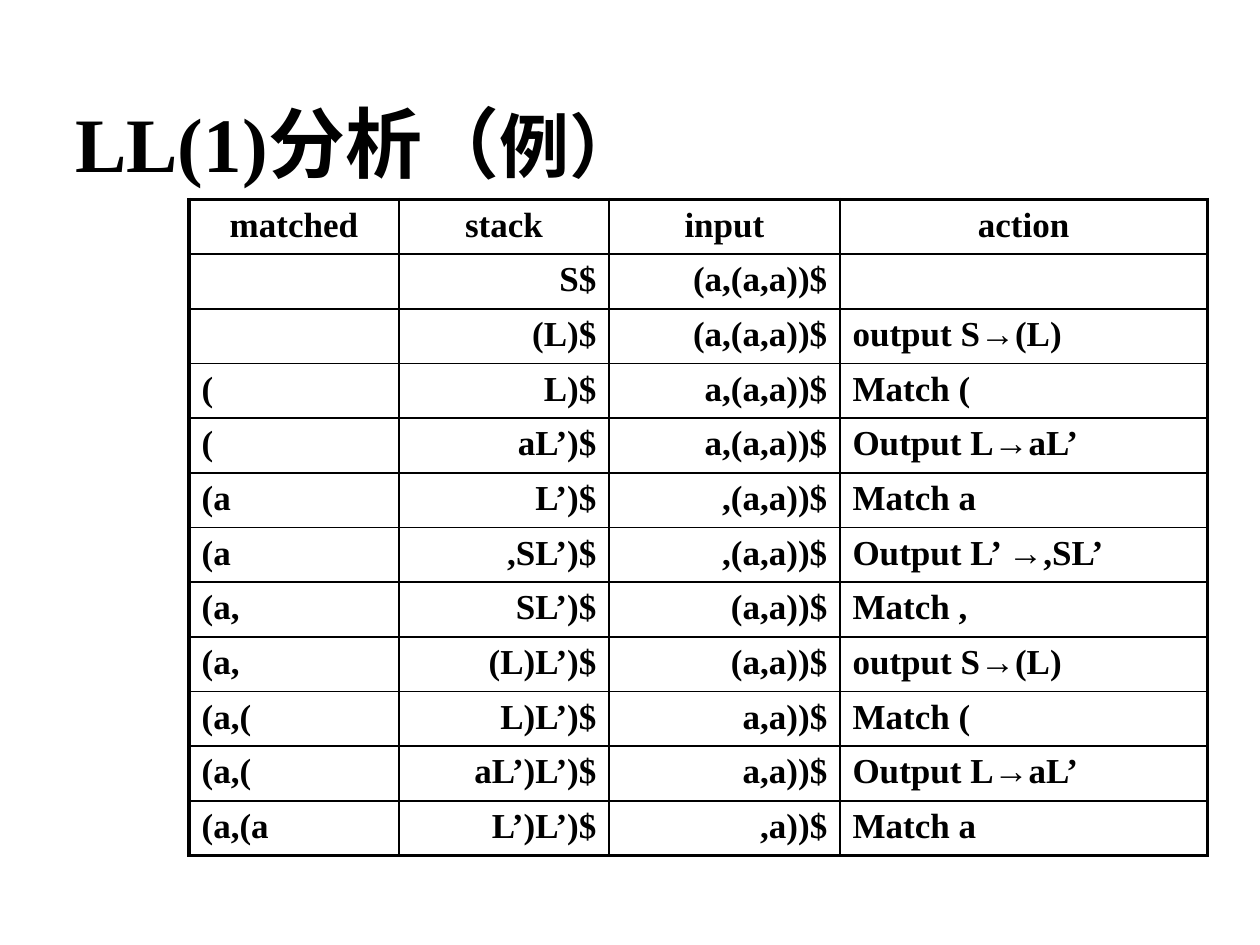
from lxml import etree
from pptx import Presentation
from pptx.dml.color import RGBColor
from pptx.enum.text import MSO_ANCHOR as Anchor, PP_ALIGN as Align
from pptx.oxml.ns import qn
from pptx.util import Pt

INK = "000000"
THIN, THICK = 1, 2.25

HEAD = ["matched", "stack", "input", "action"]
STEPS = [
    ["", "S$", "(a,(a,a))$", ""],
    ["", "(L)$", "(a,(a,a))$", "output S→(L)"],
    ["(", "L)$", "a,(a,a))$", "Match ("],
    ["(", "aL’)$", "a,(a,a))$", "Output L→aL’"],
    ["(a", "L’)$", ",(a,a))$", "Match a"],
    ["(a", ",SL’)$", ",(a,a))$", "Output L’ →,SL’"],
    ["(a,", "SL’)$", "(a,a))$", "Match ,"],
    ["(a,", "(L)L’)$", "(a,a))$", "output S→(L)"],
    ["(a,(", "L)L’)$", "a,a))$", "Match ("],
    ["(a,(", "aL’)L’)$", "a,a))$", "Output L→aL’"],
    ["(a,(a", "L’)L’)$", ",a))$", "Match a"],
]
ALIGNS = [Align.LEFT, Align.RIGHT, Align.RIGHT, Align.LEFT]


def color(code):
    return RGBColor.from_string(code)


def write(para, text, size=20, face="Times New Roman", bold=True, ink=INK, align=Align.LEFT):
    para.alignment = align
    run = para.add_run()
    run.text = text
    font = run.font
    font.size, font.name, font.bold = Pt(size), face, bold
    font.color.rgb = color(ink)


def border(cell, widths, ink=INK):
    """Draw the left, right, top and bottom edges, in that order."""
    props = cell._tc.get_or_add_tcPr()
    for i, (side, width) in enumerate(zip("LRTB", widths)):
        line = etree.Element(qn(f"a:ln{side}"), w=str(Pt(width)))
        fill = etree.SubElement(line, qn("a:solidFill"))
        etree.SubElement(fill, qn("a:srgbClr"), val=ink)
        props.insert(i, line)


class Page:
    def __init__(self, deck):
        self.slide = deck.slides.add_slide(deck.slide_layouts[6])

    def title(self, parts, left, top, width, height):
        frame = self.slide.shapes.add_textbox(Pt(left), Pt(top), Pt(width), Pt(height)).text_frame
        frame.word_wrap = True
        frame.vertical_anchor = Anchor.MIDDLE
        for text, size in parts:
            write(frame.paragraphs[0], text, size=size)

    def table(self, rows, left, top, widths, height):
        shape = self.slide.shapes.add_table(
            len(rows), len(widths), Pt(left), Pt(top), Pt(sum(widths)), Pt(height * len(rows)))
        grid = shape.table
        grid.first_row = grid.horz_banding = False
        for col, width in zip(grid.columns, widths):
            col.width = Pt(width)
        end_row, end_col = len(rows) - 1, len(widths) - 1
        for r, row in enumerate(rows):
            grid.rows[r].height = Pt(height)
            for c, text in enumerate(row):
                cell = grid.cell(r, c)
                cell.fill.background()
                # Thick frame, thin inner rules
                outer = (c == 0, c == end_col, r == 0, r == end_row)
                border(cell, [THICK if edge else THIN for edge in outer])
                if text:
                    align = Align.CENTER if r == 0 else ALIGNS[c]
                    write(cell.text_frame.paragraphs[0], text, align=align)


def main():
    deck = Presentation()
    deck.slide_width, deck.slide_height = Pt(720), Pt(540)
    page = Page(deck)

    # Title
    page.title([("LL(1)分析（", 44), ("例）", 40)], 36, 50.5, 648, 61)

    # Parsing steps
    page.table([HEAD] + STEPS, 108, 114, [120, 120, 132, 210], 31.25)

    deck.save("out.pptx")


if __name__ == "__main__":
    main()
